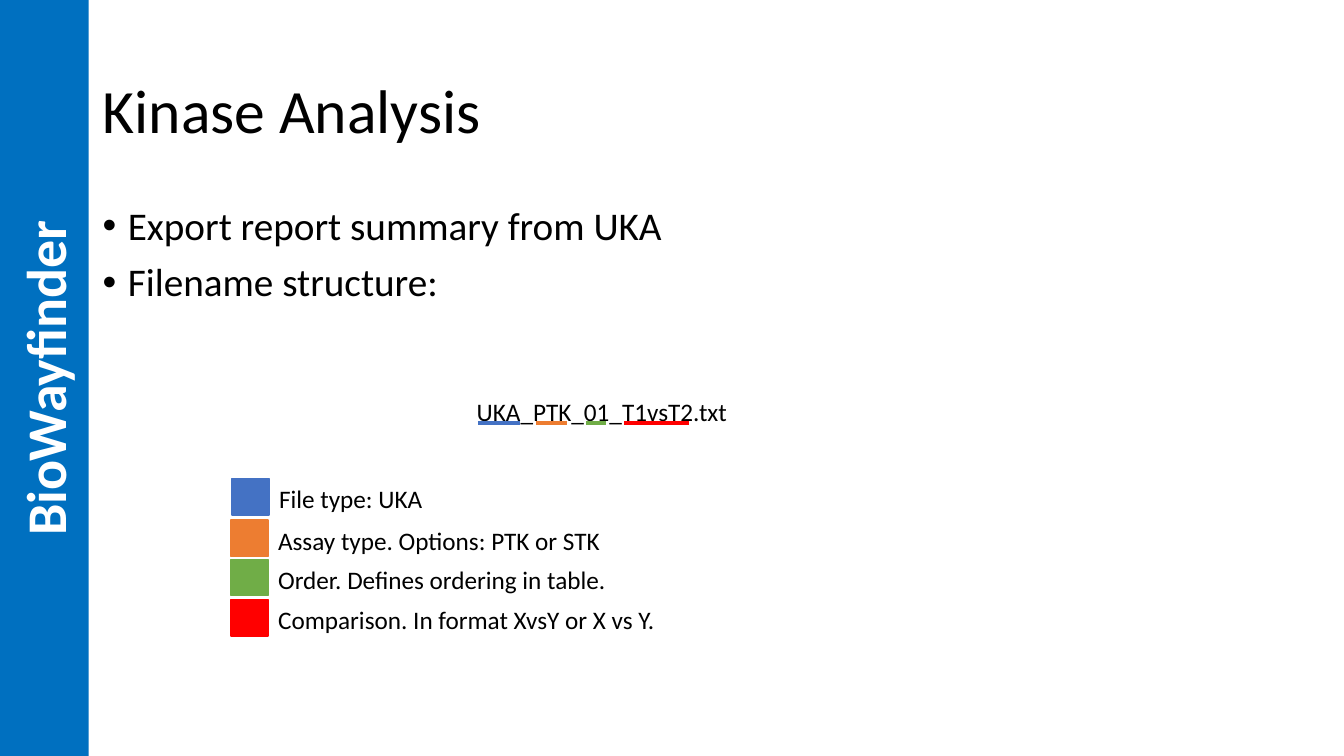
from dataclasses import dataclass

from lxml.etree import SubElement
from pptx import Presentation
from pptx.dml.color import RGBColor
from pptx.enum.shapes import MSO_CONNECTOR, MSO_SHAPE
from pptx.enum.text import MSO_ANCHOR, MSO_AUTO_SIZE, PP_ALIGN
from pptx.oxml.ns import qn
from pptx.shapes.autoshape import Shape
from pptx.slide import Slide
from pptx.text.text import _Paragraph as Para
from pptx.util import Inches, Pt

FONT = "Calibri"
COLORS = {
    "text": "000000",
    "white": "FFFFFF",
    "band": "0070C0",
    "file": "4472C4",
    "assay": "ED7D31",
    "order": "70AD47",
    "compare": "FF0000",
}


@dataclass
class Part:
    """One part of the file name: its underline and its legend entry."""
    color: str
    start: float
    end: float
    left: float
    top: float
    width: float
    label: str


PARTS = [
    Part("file", 4.74, 5.16, 2.3, 4.75, 1.7, "File type: UKA"),
    Part("assay", 5.32, 5.62, 2.29, 5.16, 3.43, "Assay type. Options: PTK or STK"),
    Part("order", 5.81, 6.01, 2.29, 5.55, 3.49, "Order. Defines ordering in table."),
    Part("compare", 6.19, 6.83, 2.29, 5.95, 3.98, "Comparison. In format XvsY or X vs Y."),
]
BULLETS = ["Export report summary from UKA", "Filename structure:"]
LINE_Y = 4.2
KEY_W, KEY_H = 0.37, 0.36


def paint(name: str) -> RGBColor:
    return RGBColor.from_string(COLORS[name])


def add_run(para: Para, text: str, size: float, color: str = "text", bold: bool = False) -> None:
    run = para.add_run()
    run.text = text
    run.font.name = FONT
    run.font.size = Pt(size)
    run.font.bold = bold
    run.font.color.rgb = paint(color)


def add_box(slide: Slide, left: float, top: float, width: float, height: float) -> Shape:
    box = slide.shapes.add_textbox(Inches(left), Inches(top), Inches(width), Inches(height))
    box.text_frame.word_wrap = True
    return box


def add_label(slide: Slide, left: float, top: float, width: float, text: str) -> None:
    frame = add_box(slide, left, top, width, 0.4).text_frame
    frame.word_wrap = False
    frame.auto_size = MSO_AUTO_SIZE.SHAPE_TO_FIT_TEXT
    add_run(frame.paragraphs[0], text, 18)


def add_rect(slide: Slide, left: float, top: float, width: float, height: float, color: str) -> Shape:
    rect = slide.shapes.add_shape(
        MSO_SHAPE.RECTANGLE, Inches(left), Inches(top), Inches(width), Inches(height))
    rect.shadow.inherit = False
    rect.fill.solid()
    rect.fill.fore_color.rgb = paint(color)
    return rect


def add_title(slide: Slide) -> None:
    frame = add_box(slide, 0.92, 0.4, 11.5, 1.45).text_frame
    frame.vertical_anchor = MSO_ANCHOR.MIDDLE
    para = frame.paragraphs[0]
    para.line_spacing = 0.9
    add_run(para, "Kinase Analysis", 44)


def add_bullets(slide: Slide) -> None:
    frame = add_box(slide, 0.92, 2, 11.5, 1.51).text_frame
    for row, text in enumerate(BULLETS):
        para = frame.add_paragraph() if row else frame.paragraphs[0]
        para.line_spacing = 0.9
        para.space_before = Pt(10)
        props = para._p.get_or_add_pPr()
        props.set("marL", str(Inches(0.25)))
        props.set("indent", str(-Inches(0.25)))
        SubElement(props, qn("a:buFont")).set("typeface", "Arial")
        SubElement(props, qn("a:buChar")).set("char", "•")
        add_run(para, text, 28)


def add_mark(slide: Slide, part: Part) -> None:
    mark = slide.shapes.add_connector(
        MSO_CONNECTOR.STRAIGHT,
        Inches(part.start), Inches(LINE_Y), Inches(part.end), Inches(LINE_Y))
    mark.line.color.rgb = paint(part.color)
    mark.line.width = Pt(3)
    SubElement(mark.element.spPr, qn("a:effectLst"))


def add_key(slide: Slide, part: Part) -> None:
    rect = add_rect(slide, part.left, part.top, KEY_W, KEY_H, part.color)
    rect.line.color.rgb = paint(part.color)
    rect.line.width = Pt(1)
    add_label(slide, part.left + KEY_W, part.top, part.width, part.label)


def add_band(slide: Slide) -> None:
    band = add_rect(slide, 0, 0, 0.88, 7.5, "band")
    band.line.fill.background()
    band.element.find(".//" + qn("a:bodyPr")).set("vert", "vert270")
    frame = band.text_frame
    frame.vertical_anchor = MSO_ANCHOR.MIDDLE
    para = frame.paragraphs[0]
    para.alignment = PP_ALIGN.CENTER
    add_run(para, "BioWayfinder", 40, "white", True)


def main() -> None:
    deck = Presentation()
    deck.slide_width, deck.slide_height = Inches(13.33), Inches(7.5)
    slide = deck.slides.add_slide(deck.slide_layouts[6])

    # Heading and bullets
    add_title(slide)
    add_bullets(slide)

    # File name with underlined parts
    add_label(slide, 4.63, 3.88, 2.71, "UKA_PTK_01_T1vsT2.txt")
    for part in PARTS:
        add_mark(slide, part)

    # Legend
    for part in PARTS:
        add_key(slide, part)

    # Side band
    add_band(slide)
    deck.save("out.pptx")


if __name__ == "__main__":
    main()
